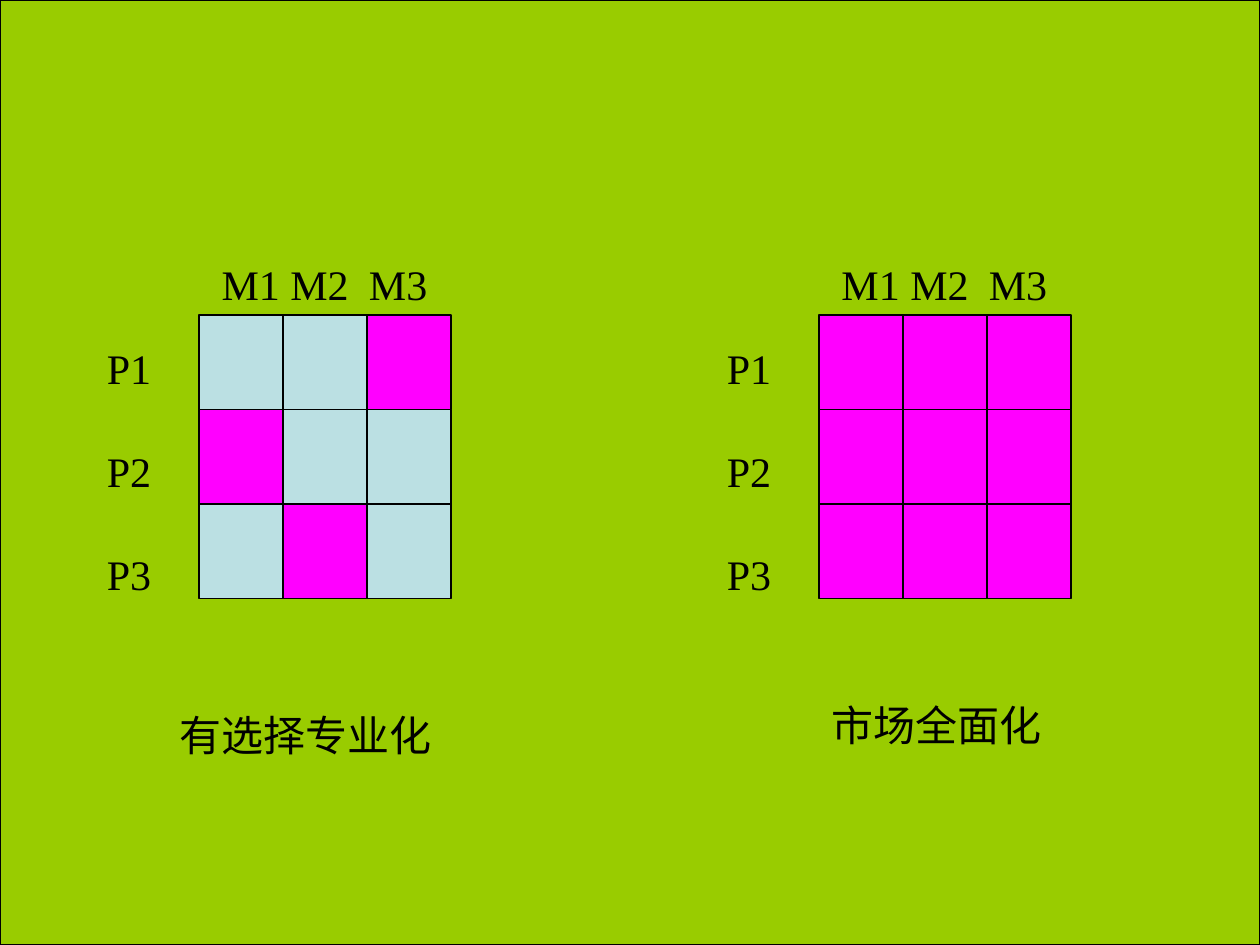
from pptx import Presentation
from pptx.dml.color import RGBColor
from pptx.enum.shapes import MSO_SHAPE
from pptx.oxml import parse_xml
from pptx.oxml.ns import nsdecls
from pptx.util import Inches, Pt

GREEN, PALE, PINK, BLACK = "99CC00", "BBE0E3", "FF00FF", "000000"
CELL_WIDTH, CELL_HEIGHT = 2 / 3, 0.75


def color(value):
    return RGBColor.from_string(value)


def add_rectangle(shapes, left, top, width, height, fill):
    rectangle = shapes.add_shape(MSO_SHAPE.RECTANGLE, Inches(left), Inches(top),
                                 Inches(width), Inches(height))
    rectangle.shadow.inherit = False
    rectangle.fill.solid()
    rectangle.fill.fore_color.rgb = color(fill)
    rectangle.line.color.rgb = color(BLACK)
    rectangle.line.width = Pt(0.75)


def add_text(shapes, left, top, width, height, lines, gap=0, tab=None):
    box = shapes.add_textbox(Inches(left), Inches(top), Inches(width), Inches(height))
    frame = box.text_frame
    frame.word_wrap = True
    for index, line in enumerate(lines):
        para = frame.add_paragraph() if index else frame.paragraphs[0]
        para.text = line
        if tab:
            para._p.get_or_add_pPr().append(parse_xml(
                f'<a:tabLst {nsdecls("a")}><a:tab pos="{Inches(tab)}" algn="l"/></a:tabLst>'))
        if index:
            para.space_before = Pt(gap)
        para.font.name = "Times New Roman"
        para.font.size = Pt(24)
        para.font.color.rgb = color(BLACK)


def add_matrix(page, left, top, chosen):
    """Product-by-market grid whose cells start at left, top."""
    shapes = page.shapes.add_group_shape().shapes
    for row in range(3):
        for column in range(3):
            add_rectangle(shapes, left + column * CELL_WIDTH, top + row * CELL_HEIGHT,
                          CELL_WIDTH, CELL_HEIGHT,
                          PINK if (row, column) in chosen else PALE)
    # Market labels above, product labels at the left
    add_text(shapes, left + 0.08, top - 0.5, 1.92, 0.5, ["M1 M2\tM3"], tab=1.17)
    add_text(shapes, left - 0.83, top + 0.17, 0.75, 2.1, ["P1", "P2", "P3"], gap=30)


def main():
    deck = Presentation()
    deck.slide_width, deck.slide_height = Inches(10), Inches(7.5)
    page = deck.slides.add_slide(deck.slide_layouts[6])

    # Background panel
    add_rectangle(page.shapes, 0, 0, 10, 7.5, GREEN)

    # Selective specialization and full market coverage
    every_cell = {(row, column) for row in range(3) for column in range(3)}
    add_matrix(page, 1.58, 2.5, {(0, 2), (1, 0), (2, 1)})
    add_matrix(page, 6.5, 2.5, every_cell)

    # Captions
    add_text(page.shapes, 1.33, 5.58, 2.33, 0.5, ["有选择专业化"])
    add_text(page.shapes, 6.5, 5.5, 2, 0.5, ["市场全面化"])

    deck.save("out.pptx")


if __name__ == "__main__":
    main()
